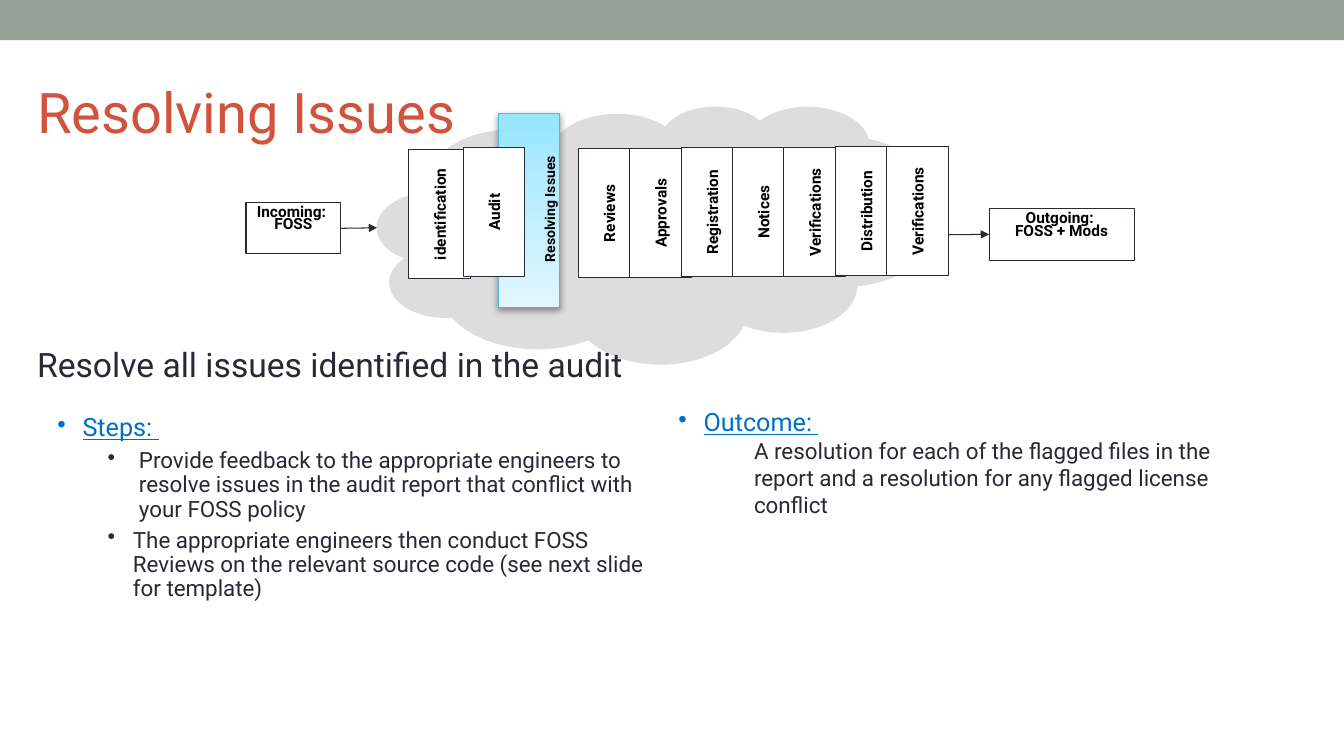
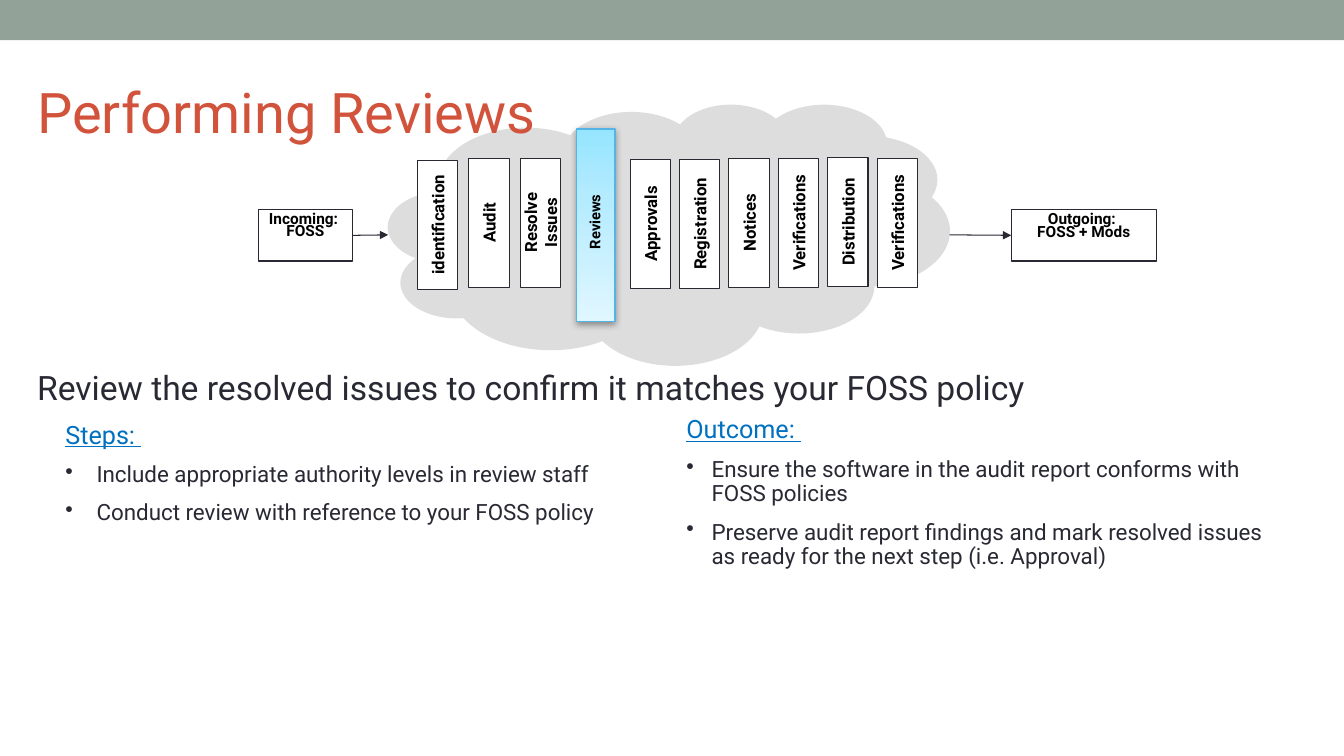
"""Two slides on the FOSS compliance process: resolving issues and performing reviews."""
from lxml.etree import SubElement
from pptx import Presentation
from pptx.dml.color import RGBColor
from pptx.enum.shapes import MSO_CONNECTOR as Connector, MSO_SHAPE as Shape
from pptx.enum.text import MSO_ANCHOR as Anchor, MSO_AUTO_SIZE as AutoSize, PP_ALIGN as Align
from pptx.oxml import parse_xml
from pptx.oxml.ns import nsdecls, qn
from pptx.util import Emu, Pt

PX = 9144
WIDTH, HEIGHT = 1333, 750
FONT = "Roboto"
INK, BLACK, WHITE = "292934", "000000", "FFFFFF"
ACCENT, LINK, BAND, CLOUD, GLOW = "D2533C", "0070C0", "93A299", "DDDDDD", "55B4E5"
GRADIENT = [(0, "95E5FF"), (35, "B4EBFF"), (100, "E0F7FF")]
STAGE_LENGTH = 128

HEADING = dict(size=18, color=LINK, underline=True, spacing=0.9)
BULLET_HEADING = dict(HEADING, left=25, hang=25, bullet=LINK)
DETAIL = dict(size=16, left=75)
STEP = dict(size=16, spacing=0.9, before=5, left=75, hang=25, bullet=INK)
WIDE_STEP = dict(STEP, left=81, hang=31)
POINT = dict(STEP, before=10, left=25)
WIDE_POINT = dict(POINT, left=31, hang=31)

SLIDES = [
    dict(
        title="Resolving Issues",
        summary=("Resolve all issues identified in the audit", (27, 336, 792, 50)),
        cloud=((374, 105, 550, 256), (-0.246, 0.157)),
        incoming=(244, 201, 94, 51), incoming_tip=(374, 226),
        outgoing=(981, 207, 144, 51), outgoing_start=(924, 233),
        current=("Resolving Issues", (494, 113, 61, 192), (449, 177), 10),
        stage_depth=61, stage_size=11,
        stages=[
            (372, 54, [("identification", 182), ("Audit", 180)]),
            (540, 51, [("Reviews", 181), ("Approvals", 181), ("Registration", 180),
                       ("Notices", 180), ("Verifications", 180),
                       ("Distribution", 179), ("Verifications", 179)]),
        ],
        columns=[
            ((47, 407, 605, 286), [
                ("Steps: ", BULLET_HEADING),
                ("Provide feedback to the appropriate engineers to resolve issues in the "
                 "audit report that conflict with your FOSS policy", WIDE_STEP),
                ("The appropriate engineers then conduct FOSS Reviews on the relevant "
                 "source code (see next slide for template)", STEP),
            ]),
            ((663, 402, 602, 252), [
                ("Outcome: ", BULLET_HEADING),
                ("A resolution for each of the flagged files in the report and a "
                 "resolution for any flagged license conflict", DETAIL),
            ]),
        ],
    ),
    dict(
        title="Performing Reviews",
        summary=("Review the resolved issues to confirm it matches your FOSS policy",
                 (27, 359, 1306, 50)),
        cloud=((385, 103, 557, 259), (-0.007, 0.116)),
        incoming=(256, 208, 94, 51), incoming_tip=(385, 233),
        outgoing=(1003, 208, 144, 51), outgoing_start=(942, 233),
        current=("Reviews", (572, 128, 38, 191), (494, 201), 10.5),
        stage_depth=40, stage_size=12,
        stages=[
            (370, 51, [("identification", 203), ("Audit", 201), ("Resolve Issues", 201)]),
            (581, 49, [("Approvals", 202), ("Registration", 202), ("Notices", 201),
                       ("Verifications", 201), ("Distribution", 200),
                       ("Verifications", 201)]),
        ],
        columns=[
            ((55, 414, 586, 303), [
                ("Steps: ", HEADING),
                ("Include appropriate authority levels in review staff", WIDE_POINT),
                ("Conduct review with reference to your FOSS policy", WIDE_POINT),
            ]),
            ((671, 409, 594, 310), [
                ("Outcome: ", HEADING),
                ("Ensure the software in the audit report conforms with FOSS policies", POINT),
                ("Preserve audit report findings and mark resolved issues as ready for "
                 "the next step (i.e. Approval)", POINT),
            ]),
        ],
    ),
]


def px(*lengths):
    return [Emu(length * PX) for length in lengths]


def rgb(color):
    return RGBColor.from_string(color)


def write(paragraph, text, size=11, color=INK, bold=False, underline=False, align=Align.LEFT,
          spacing=None, before=0, left=0, hang=0, bullet=None):
    run = paragraph.add_run()
    run.text = text
    font = run.font
    font.name, font.size, font.bold, font.underline = FONT, Pt(size), bold, underline
    font.color.rgb = rgb(color)
    paragraph.alignment = align
    paragraph.space_before = Pt(before)
    if spacing:
        paragraph.line_spacing = spacing
    properties = paragraph._p.get_or_add_pPr()
    properties.set("marL", str(left * PX))
    properties.set("indent", str(-hang * PX))
    if bullet:
        tint = SubElement(properties, qn("a:buClr"))
        SubElement(tint, qn("a:srgbClr")).set("val", bullet)
        SubElement(properties, qn("a:buChar")).set("char", "•")


def fill_frame(frame, paragraphs, anchor=Anchor.TOP):
    frame.word_wrap, frame.auto_size = True, AutoSize.NONE
    frame.vertical_anchor = anchor
    for index, (text, style) in enumerate(paragraphs):
        paragraph = frame.add_paragraph() if index else frame.paragraphs[0]
        write(paragraph, text, **style)


def add_text(slide, box, paragraphs, anchor=Anchor.TOP):
    holder = slide.shapes.add_textbox(*px(*box))
    fill_frame(holder.text_frame, paragraphs, anchor)
    return holder


def add_block(slide, kind, box, fill, line=None):
    block = slide.shapes.add_shape(kind, *px(*box))
    block.shadow.inherit = False
    block.fill.solid()
    block.fill.fore_color.rgb = rgb(fill)
    if line:
        block.line.color.rgb = rgb(line)
        block.line.width = Pt(0.75)
    else:
        block.line.fill.background()
    return block


def add_endpoint(slide, box, lines, spacing):
    endpoint = add_block(slide, Shape.RECTANGLE, box, WHITE, INK)
    style = dict(color=BLACK, bold=True, align=Align.CENTER, spacing=spacing)
    fill_frame(endpoint.text_frame, [(line, style) for line in lines])
    return endpoint


def add_arrow(slide, start, end):
    arrow = slide.shapes.add_connector(Connector.STRAIGHT, *px(*start, *end))
    arrow.line.color.rgb = rgb(INK)
    arrow.line.width = Pt(0.75)
    SubElement(arrow.line._get_or_add_ln(), qn("a:tailEnd")).set("type", "triangle")
    SubElement(arrow._element.spPr, qn("a:effectLst"))
    return arrow


def add_current_stage(slide, label, box, label_corner, size):
    highlight = add_block(slide, Shape.RECTANGLE, box, GRADIENT[0][1], GLOW)
    properties = highlight._element.spPr
    stops = "".join(f'<a:gs pos="{at * 1000}"><a:srgbClr val="{color}"/></a:gs>'
                    for at, color in GRADIENT)
    properties.replace(properties.find(qn("a:solidFill")), parse_xml(
        f'<a:gradFill {nsdecls("a")} rotWithShape="1"><a:gsLst>{stops}</a:gsLst>'
        '<a:lin ang="5400000" scaled="0"/></a:gradFill>'))
    properties.replace(properties.find(qn("a:effectLst")), parse_xml(
        f'<a:effectLst {nsdecls("a")}><a:outerShdw blurRad="63500" dist="20320" dir="5400000" '
        'rotWithShape="0"><a:srgbClr val="000000"><a:alpha val="38000"/></a:srgbClr>'
        '</a:outerShdw></a:effectLst>'))
    depth, length = box[2:]
    style = dict(size=size, color=BLACK, bold=True, align=Align.CENTER)
    caption = add_text(slide, (*label_corner, length, depth), [(label, style)], Anchor.MIDDLE)
    caption.rotation = 270


def add_stages(slide, groups, depth, size):
    style = dict(size=size, color=BLACK, bold=True, align=Align.CENTER)
    for first, pitch, stages in groups:
        for index, (label, top) in enumerate(stages):
            box = (first + index * pitch, top, STAGE_LENGTH, depth)
            stage = add_block(slide, Shape.RECTANGLE, box, WHITE, INK)
            stage.rotation = 270
            fill_frame(stage.text_frame, [(label, style)], Anchor.MIDDLE)


def add_process(slide, content):
    box, pointer = content["cloud"]
    cloud = add_block(slide, Shape.CLOUD_CALLOUT, box, CLOUD)
    cloud.adjustments[0], cloud.adjustments[1] = pointer
    slide.shapes._spTree.insert(2, cloud._element)

    incoming = add_endpoint(slide, content["incoming"], ["Incoming: ", "FOSS"], 0.65)
    outgoing = add_endpoint(slide, content["outgoing"], ["Outgoing: ", "FOSS + Mods"], 0.7)
    tip, start = content["incoming_tip"], content["outgoing_start"]
    add_arrow(slide, tip, tip).begin_connect(incoming, 3)
    add_arrow(slide, start, start).end_connect(outgoing, 1)

    add_current_stage(slide, *content["current"])
    add_stages(slide, content["stages"], content["stage_depth"], content["stage_size"])


def add_slide(deck, layout, content):
    slide = deck.slides.add_slide(layout)
    title = slide.shapes.title
    title.left, title.top, title.width, title.height = px(27, 56, 1200, 108)
    fill_frame(title.text_frame, [(content["title"], dict(size=40, color=ACCENT))], Anchor.MIDDLE)
    add_process(slide, content)
    summary, box = content["summary"]
    add_text(slide, box, [(summary, dict(size=24))])
    for box, paragraphs in content["columns"]:
        add_text(slide, box, paragraphs)
    return slide


def main():
    deck = Presentation()
    deck.slide_width, deck.slide_height = px(WIDTH, HEIGHT)
    layout = deck.slide_layouts[5]
    slides = [add_slide(deck, layout, content) for content in SLIDES]
    band = add_block(slides[0], Shape.RECTANGLE, (0, 0, WIDTH, 40), BAND)
    layout.shapes._spTree.insert(2, band._element)
    deck.save("out.pptx")


if __name__ == "__main__":
    main()
